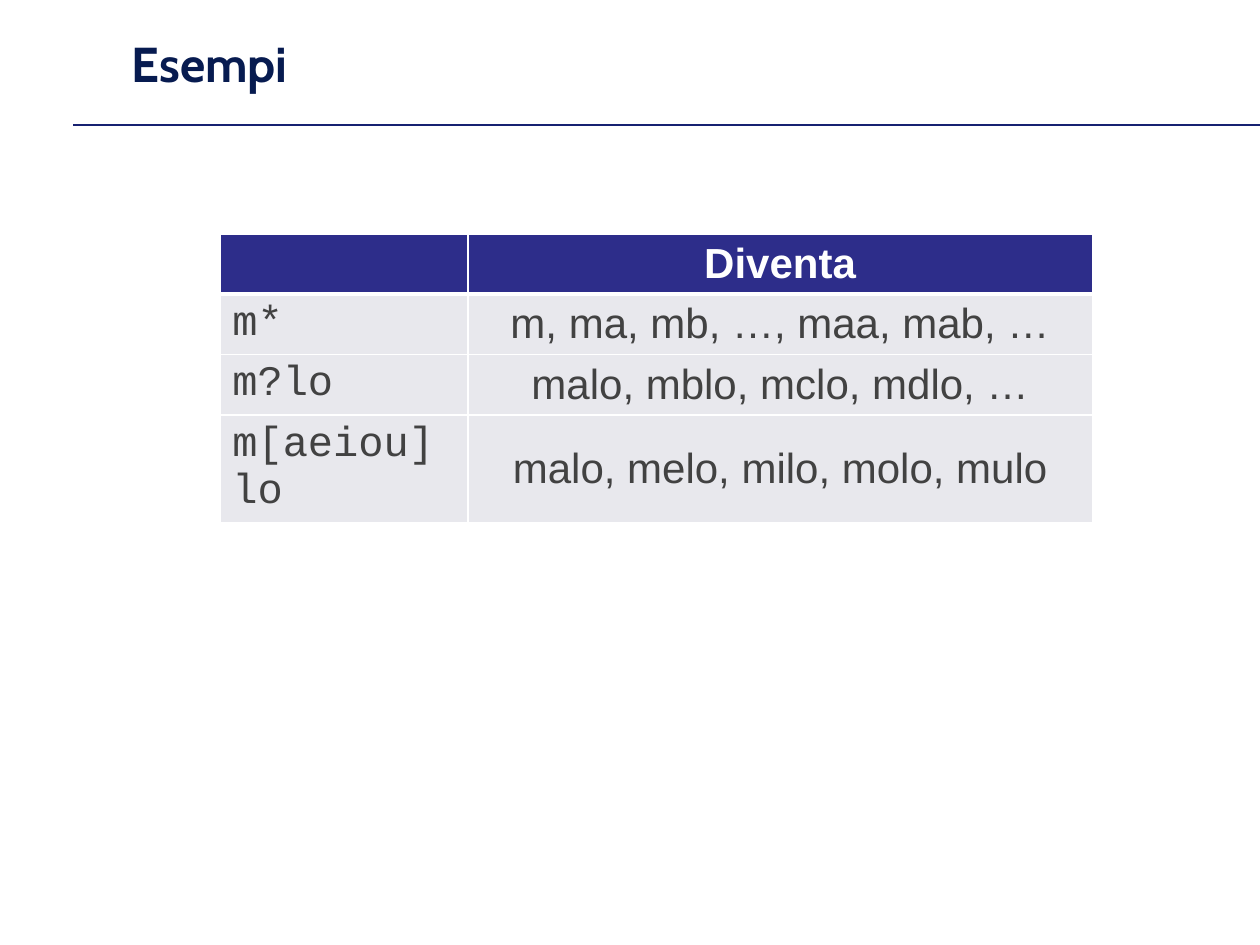
from pptx import Presentation
from pptx import util as u
from pptx.dml.color import RGBColor
from pptx.enum import shapes, text
from pptx.oxml import parse_xml
from pptx.oxml.ns import nsdecls
from pptx.oxml.xmlchemy import OxmlElement

HUES = {"rule": "172171", "title": "071B50", "head": "2D2D8A",
        "body": "E8E8ED", "ink": "424242", "white": "FFFFFF"}
ROWS = [("", "Diventa"),
        ("m*", "m, ma, mb, …, maa, mab, …"),
        ("m?lo", "malo, mblo, mclo, mdlo, …"),
        ("m[aeiou]lo", "malo, melo, milo, molo, mulo")]


class Deck:
    """Holds the style and the current slide."""

    def __init__(self, wide, high):
        self.prs = Presentation()
        self.prs.slide_width, self.prs.slide_height = u.Cm(wide), u.Cm(high)
        self.slide = self.prs.slides.add_slide(self.prs.slide_layouts[6])

    def hue(self, name):
        return RGBColor.from_string(HUES[name])

    def fill_text(self, frame, words, hue, align=text.PP_ALIGN.LEFT, **style):
        para = frame.paragraphs[0]
        para.alignment = align
        run = para.add_run()
        run.text = words
        for key, val in style.items():
            setattr(run.font, key, val)
        run.font.color.rgb = self.hue(hue)

    def label(self, box, words, hue, **style):
        frame = self.slide.shapes.add_textbox(*map(u.Cm, box)).text_frame
        form = {"word_wrap": True, "auto_size": text.MSO_AUTO_SIZE.NONE,
                "vertical_anchor": text.MSO_ANCHOR.MIDDLE}
        for key, val in form.items():
            setattr(frame, key, val)
        self.fill_text(frame, words, hue, **style)

    def rule(self, left, right, top, hue, width):
        line = self.slide.shapes.add_connector(
            shapes.MSO_CONNECTOR.STRAIGHT, *map(u.Cm, (left, top, right, top)))
        line.line.color.rgb = self.hue(hue)
        line.line.width = u.Pt(width)
        line._element.spPr.append(OxmlElement("a:effectLst"))

    def edge(self, cell, side, width):
        cell._tc.get_or_add_tcPr().append(parse_xml(
            f'<a:ln{side} {nsdecls("a")} w="{u.Pt(width)}"><a:solidFill>'
            f'<a:srgbClr val="{HUES["white"]}"/></a:solidFill></a:ln{side}>'))

    def table(self, left, top, cols, high, rows):
        box = map(u.Cm, (left, top, sum(cols), high * len(rows)))
        grid = self.slide.shapes.add_table(len(rows), len(cols), *box).table
        grid.horz_banding = False
        for col, wide in zip(grid.columns, cols):
            col.width = u.Cm(wide)
        for r, row in enumerate(rows):
            grid.rows[r].height = u.Cm(high)
            for c, words in enumerate(row):
                self.cell(grid.cell(r, c), r, c, words)

    def cell(self, cell, r, c, words):
        head = r == 0
        # A thicker edge parts the header from the body
        thick = {"T": 3 if r == 1 else 1, "B": 3 if head else 1}
        for side in "LRTB":
            self.edge(cell, side, thick.get(side, 1))
        cell.fill.solid()
        cell.fill.fore_color.rgb = self.hue("head" if head else "body")
        cell.vertical_anchor = text.MSO_ANCHOR.MIDDLE
        if words:
            self.fill_text(cell.text_frame, words, "white" if head else "ink",
                           text.PP_ALIGN.CENTER if c else text.PP_ALIGN.LEFT,
                           name="Arial" if c else "Courier New",
                           size=u.Pt(24), bold=head)


def main():
    deck = Deck(25.4, 19.05)
    # Title and rule
    deck.rule(1.48, 25.4, 2.52, "rule", 0.75)
    deck.label((2.41, 0, 21.59, 2.54), "Esempi", "title",
               name="Cabin", size=u.Pt(28), bold=True)
    # Pattern table
    deck.table(4.43, 4.73, (5, 12.59), 1.04, ROWS)
    deck.prs.save("out.pptx")


if __name__ == "__main__":
    main()
